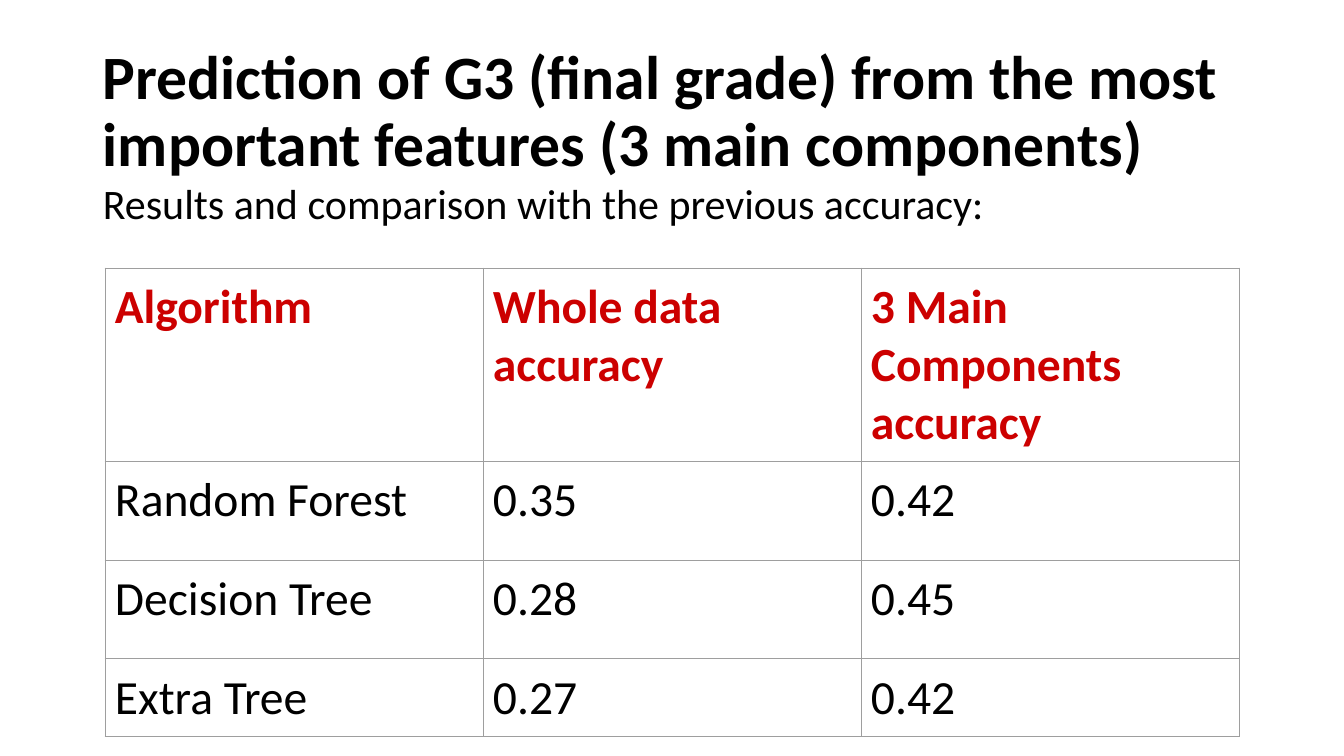
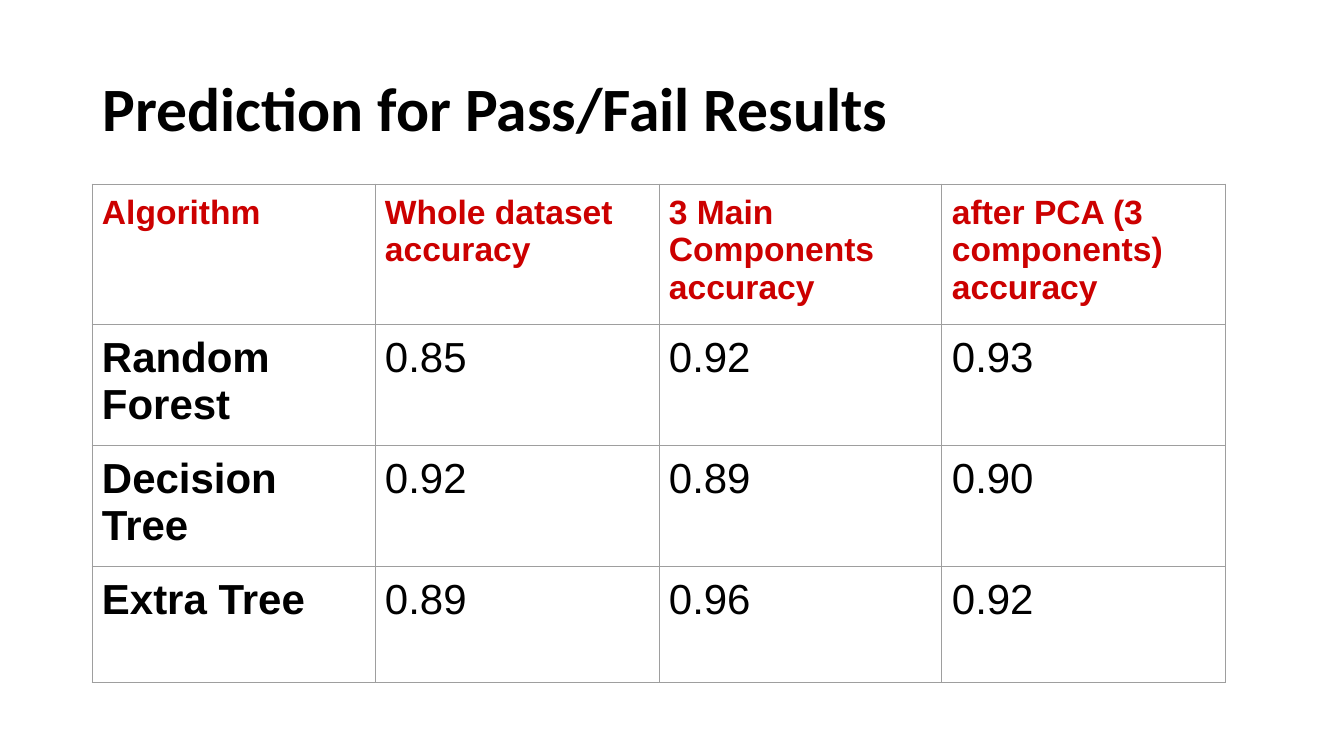
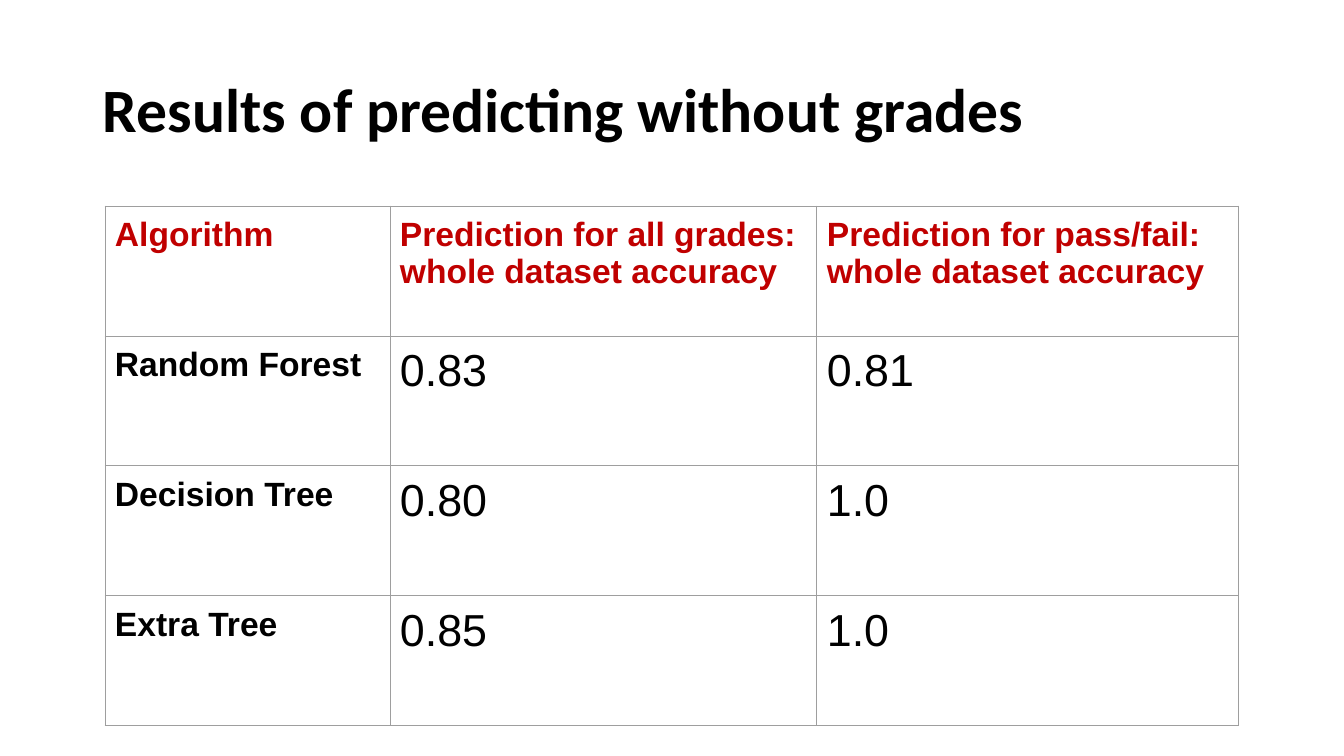
"""Build three slides that compare the accuracy of prediction algorithms."""
from lxml import etree
from pptx import Presentation
from pptx.dml.color import RGBColor
from pptx.enum.text import MSO_ANCHOR
from pptx.oxml.ns import qn
from pptx.util import Emu, Pt

MIDDLE, TOP = MSO_ANCHOR.MIDDLE, MSO_ANCHOR.TOP
SCALE = 914400 / 100.8
BLACK, BORDER = "000000", "9E9E9E"
TEXT_LEFT, TEXT_WIDTH = 93, 1159
CELL_INSET = 10


def px(length):
    """Turn picture pixels into EMU."""
    return Emu(round(length * SCALE))


def write(frame, text, font="Calibri", size=30, color=BLACK, bold=False,
          spacing=None, before=None, anchor=TOP):
    """Fill a text frame, one paragraph for each line of the text."""
    frame.word_wrap = True
    frame.vertical_anchor = anchor
    for index, line in enumerate(text.split("\n")):
        para = frame.add_paragraph() if index else frame.paragraphs[0]
        para.line_spacing = spacing
        para.space_before = before
        span = para.add_run()
        span.text = line
        span.font.name = font
        span.font.size = Pt(size)
        span.font.bold = bold
        span.font.color.rgb = RGBColor.from_string(color)


slides = [
    {
        "title": "Prediction of G3 (final grade) from the most important features (3 main components)",
        "title_top": 40,
        "subtitle": "Results and comparison with the previous accuracy:",
        "left": 105, "top": 268,
        "columns": [378] * 3, "rows": [193, 99, 99, 78],
        "font": "Calibri", "header_color": "CC0000", "names_bold": False,
        "header_size": 34, "name_size": 34, "value_size": 34,
        "cells": [
            ["Algorithm", "Whole data accuracy", "3 Main Components accuracy"],
            ["Random Forest", "0.35", "0.42"],
            ["Decision Tree", "0.28", "0.45"],
            ["Extra Tree", "0.27", "0.42"],
        ],
    },
    {
        "title": "Prediction for Pass/Fail Results",
        "title_top": 38,
        "left": 92, "top": 184,
        "columns": [283, 284] * 2, "rows": [133, 116, 116, 116],
        "font": "Arial", "header_color": "CC0000", "names_bold": True,
        "header_size": 24, "name_size": 30, "value_size": 30,
        "cells": [
            ["Algorithm", "Whole dataset accuracy", "3 Main Components accuracy",
             "after PCA (3 components) accuracy"],
            ["Random Forest", "0.85", "0.92", "0.93"],
            ["Decision Tree", "0.92", "0.89", "0.90"],
            ["Extra Tree", "0.89", "0.96", "0.92"],
        ],
    },
    {
        "title": "Results of predicting without grades",
        "title_top": 40,
        "left": 105, "top": 206,
        "columns": [285, 427, 422], "rows": [130] * 4,
        "font": "Arial", "header_color": "C00000", "names_bold": True,
        "header_size": 24, "name_size": 24, "value_size": 32,
        "cells": [
            ["Algorithm", "Prediction for all grades:\nwhole dataset accuracy",
             "Prediction for pass/fail:\nwhole dataset accuracy"],
            ["Random Forest", "0.83", "0.81"],
            ["Decision Tree", "0.80", "1.0"],
            ["Extra Tree", "0.85", "1.0"],
        ],
    },
]

deck = Presentation()
deck.slide_width, deck.slide_height = px(1344), px(756)

for content in slides:
    page = deck.slides.add_slide(deck.slide_layouts[6])
    box = page.shapes.add_textbox(px(TEXT_LEFT), px(content["title_top"]), px(TEXT_WIDTH), px(146))
    write(box.text_frame, content["title"], size=44, bold=True, spacing=0.9, anchor=MIDDLE)

    if "subtitle" in content:
        box = page.shapes.add_textbox(px(TEXT_LEFT), px(186), px(TEXT_WIDTH), px(570))
        write(box.text_frame, content["subtitle"], spacing=0.7, before=Pt(10))

    columns, rows = content["columns"], content["rows"]
    table = page.shapes.add_table(
        len(rows), len(columns), px(content["left"]), px(content["top"]),
        px(sum(columns)), px(sum(rows))).table
    table.first_row = table.horz_banding = False
    for column, width in zip(table.columns, columns):
        column.width = px(width)

    for row_index, texts in enumerate(content["cells"]):
        table.rows[row_index].height = px(rows[row_index])
        for column_index, text in enumerate(texts):
            cell = table.cell(row_index, column_index)
            cell.margin_left = cell.margin_right = px(CELL_INSET)
            cell.margin_top = cell.margin_bottom = px(CELL_INSET)
            properties = cell._tc.get_or_add_tcPr()
            for side in ("lnL", "lnR", "lnT", "lnB"):
                line = etree.SubElement(properties, qn("a:" + side), w=str(Pt(0.75)))
                fill = etree.SubElement(line, qn("a:solidFill"))
                etree.SubElement(fill, qn("a:srgbClr"), val=BORDER)
            cell.fill.background()

            is_header, is_name = row_index == 0, column_index == 0
            kind = "header" if is_header else "name" if is_name else "value"
            write(cell.text_frame, text, font=content["font"], size=content[kind + "_size"],
                  color=content["header_color"] if is_header else BLACK,
                  bold=is_header or (is_name and content["names_bold"]))

deck.save("out.pptx")
